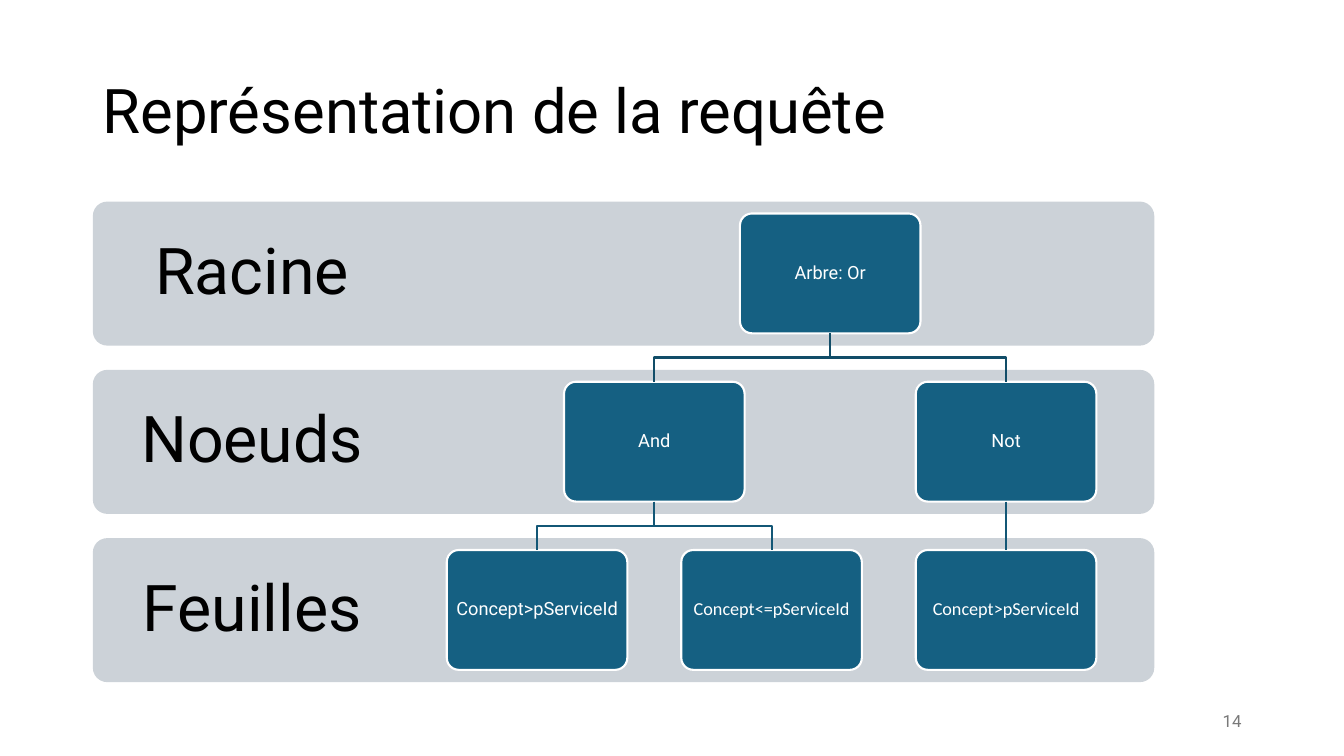
from dataclasses import dataclass

from lxml.etree import SubElement
from pptx import Presentation
from pptx.dml.color import RGBColor
from pptx.enum.shapes import MSO_CONNECTOR, MSO_SHAPE
from pptx.enum.text import MSO_ANCHOR, MSO_AUTO_SIZE, PP_ALIGN
from pptx.oxml.ns import qn
from pptx.util import Cm, Pt


@dataclass(frozen=True)
class Theme:
    font: str = "Roboto"
    alt: str = "Calibri"
    black: str = "000000"
    white: str = "FFFFFF"
    grey: str = "797979"
    band: str = "CCD2D8"
    node: str = "156082"
    links: tuple = ("114D68", "135776")  # one per level
    title: float = 44
    label: float = 46
    text: float = 13
    number: float = 12
    line: float = 1.5


@dataclass(frozen=True)
class Box:
    x: float
    y: float
    w: float
    h: float

    def place(self):
        return Cm(self.x), Cm(self.y), Cm(self.w), Cm(self.h)


THEME = Theme()
BAND_H = 3.63
STEP = 4.24  # from one level to the next
NODE_W, NODE_H = 4.55, 3.02
LEAF_STEP = 5.91
LEVELS = ["Racine", "Noeuds", "Feuilles"]

# Each node: text, font, level, centre counted in leaf columns
NODES = {
    "or": ("Arbre: Or", THEME.font, 0, 1.25),
    "and": ("And", THEME.font, 1, 0.5),
    "not": ("Not", THEME.font, 1, 2),
    "left": ("Concept>pServiceId", THEME.font, 2, 0),
    "mid": ("Concept<=pServiceId", THEME.alt, 2, 1),
    "right": ("Concept>pServiceId", THEME.alt, 2, 2),
}
LINKS = [("or", "and"), ("or", "not"), ("and", "left"),
         ("and", "mid"), ("not", "right")]


def color(code):
    return RGBColor.from_string(code)


def write(shape, text, size, ink, align, font=THEME.font, inset=None,
          space=0.9, wrap=True):
    frame = shape.text_frame
    frame.text = text
    frame.word_wrap = wrap
    frame.auto_size = MSO_AUTO_SIZE.NONE
    frame.vertical_anchor = MSO_ANCHOR.MIDDLE
    if inset is not None:
        frame.margin_left = frame.margin_right = Cm(inset)
        frame.margin_top = frame.margin_bottom = Cm(inset)
    para = frame.paragraphs[0]
    para.alignment = align
    para.line_spacing = space
    style = para.runs[0].font
    style.name, style.size = font, Pt(size)
    style.color.rgb = color(ink)


def add_round(slide, box, fill):
    shape = slide.shapes.add_shape(MSO_SHAPE.ROUNDED_RECTANGLE, *box.place())
    shape.adjustments[0] = 0.1
    shape.shadow.inherit = False
    shape.fill.solid()
    shape.fill.fore_color.rgb = color(fill)
    shape.line.fill.background()
    return shape


def set_line(shape, ink):
    shape.line.color.rgb = color(ink)
    shape.line.width = Pt(THEME.line)


def add_title(slide, box, text):
    title = slide.shapes.title
    title.left, title.top, title.width, title.height = box.place()
    write(title, text, THEME.title, THEME.black, PP_ALIGN.LEFT)


def add_bands(slide, box):
    for level, name in enumerate(LEVELS):
        top = box.y + level * STEP
        add_round(slide, Box(box.x, top, box.w, BAND_H), THEME.band)
        label = slide.shapes.add_textbox(
            *Box(box.x, top, 0.3 * box.w, BAND_H).place())
        write(label, name, THEME.label, THEME.black, PP_ALIGN.CENTER,
              inset=0.9)


def add_link(slide, start, end, ink):
    x1, y1 = start.left + start.width // 2, start.top + start.height
    x2, y2 = end.left + end.width // 2, end.top
    if x1 == x2:
        link = slide.shapes.add_connector(
            MSO_CONNECTOR.STRAIGHT, x1, y1, x2, y2)
        link.begin_connect(start, 2)
        link.end_connect(end, 0)
        SubElement(link._element.spPr, qn("a:effectLst"))
    else:
        half = (y1 + y2) // 2
        path = slide.shapes.build_freeform(x1, y1)
        path.add_line_segments([(x1, half), (x2, half), (x2, y2)], close=False)
        link = path.convert_to_shape()
        link.fill.background()
        link.shadow.inherit = False
    set_line(link, ink)


def add_tree(slide, box):
    shapes = {}
    for key, (text, font, level, col) in NODES.items():
        place = Box(box.x + col * LEAF_STEP, box.y + level * STEP,
                    NODE_W, NODE_H)
        node = add_round(slide, place, THEME.node)
        set_line(node, THEME.white)
        write(node, text, THEME.text, THEME.white, PP_ALIGN.CENTER, font,
              inset=0.1, wrap=False)
        shapes[key] = node
    for start, end in LINKS:
        add_link(slide, shapes[start], shapes[end],
                 THEME.links[NODES[start][2]])


def add_number(slide, box, text):
    number = slide.shapes.add_textbox(*box.place())
    write(number, text, THEME.number, THEME.grey, PP_ALIGN.RIGHT, space=1.0)


def main():
    deck = Presentation()
    deck.slide_width, deck.slide_height = Cm(33.87), Cm(19.05)
    slide = deck.slides.add_slide(deck.slide_layouts[5])

    # Heading
    add_title(slide, Box(2.33, 1.01, 29.21, 3.68),
              "Représentation de la requête")
    # Levels and query tree
    add_bands(slide, Box(2.34, 5.08, 26.75, 2 * STEP + BAND_H))
    add_tree(slide, Box(11.26, 5.38, 2 * LEAF_STEP + NODE_W,
                        2 * STEP + NODE_H))
    # Footer
    add_number(slide, Box(23.92, 17.66, 7.62, 1.01), "14")

    deck.save("out.pptx")


if __name__ == "__main__":
    main()
